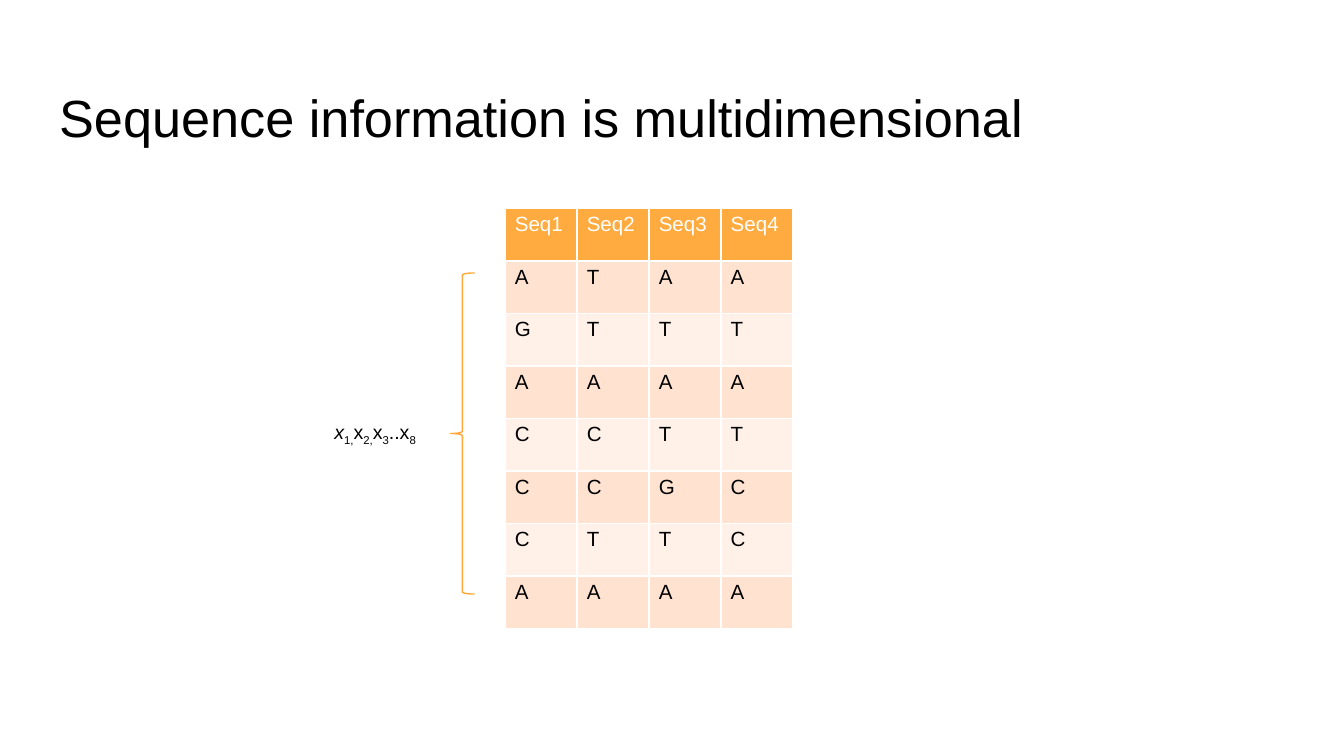
from dataclasses import dataclass

from lxml import etree
from pptx import Presentation
from pptx.dml.color import RGBColor
from pptx.enum.shapes import MSO_SHAPE
from pptx.enum.text import MSO_AUTO_SIZE
from pptx.oxml.ns import qn
from pptx.util import Cm, Pt

LEFT_BRACE = MSO_SHAPE.LEFT_BRACE
NO_FIT = MSO_AUTO_SIZE.NONE
FIT_SHAPE = MSO_AUTO_SIZE.SHAPE_TO_FIT_TEXT


@dataclass(frozen=True)
class Theme:
    font: str = "Arial"
    ink: str = "000000"
    white: str = "FFFFFF"
    header: str = "FFAB40"
    bands: tuple = ("FFE2CF", "FFF1E8")
    brace: str = "FEA83A"
    title_size: float = 28
    cell_size: float = 11
    label_size: float = 10.5


THEME = Theme()


def write(frame, text, *, size, color=THEME.ink, italic=False, baseline=0):
    """Append a formatted run to the first paragraph of a text frame."""
    run = frame.paragraphs[0].add_run()
    run.text = text
    run.font.name = THEME.font
    run.font.size = Pt(size)
    run.font.italic = italic
    run.font.color.rgb = RGBColor.from_string(color)
    if baseline:
        run.font._element.set("baseline", str(baseline * 1000))


def outline_cell(cell, color, width):
    """Draw all four borders of a table cell; borders precede its fill."""
    properties = cell._tc.get_or_add_tcPr()
    for position, side in enumerate(("a:lnL", "a:lnR", "a:lnT", "a:lnB")):
        border = etree.Element(qn(side), w=str(Pt(width)))
        fill = etree.SubElement(border, qn("a:solidFill"))
        etree.SubElement(fill, qn("a:srgbClr"), val=color)
        properties.insert(position, border)


prs = Presentation()
prs.slide_width, prs.slide_height = Cm(25.4), Cm(14.29)
slide = prs.slides.add_slide(prs.slide_layouts[6])

# Title
title = slide.shapes.add_textbox(Cm(0.87), Cm(1.25), Cm(23.67), Cm(1.6)).text_frame
title.word_wrap = True
title.auto_size = NO_FIT
title.margin_left = title.margin_right = title.margin_bottom = Cm(0.25)
title.margin_top = Cm(0.36)
write(title, "Sequence information is multidimensional", size=THEME.title_size)

# Aligned sequences: one column per sequence, one row per position
names = ["Seq1", "Seq2", "Seq3", "Seq4"]
positions = ["ATAA", "GTTT", "AAAA", "CCTT", "CCGC", "CTTC", "AAAA"]
alignment = [names, *positions]
sequences = slide.shapes.add_table(
    len(alignment), len(names), Cm(9.55), Cm(3.94), Cm(5.44), Cm(7.95)
).table
for row, values in enumerate(alignment):
    is_header = row == 0
    fill_color = THEME.header if is_header else THEME.bands[(row - 1) % 2]
    for column, value in enumerate(values):
        cell = sequences.cell(row, column)
        cell.margin_left = cell.margin_right = Cm(0.18)
        cell.margin_top = cell.margin_bottom = Cm(0.09)
        cell.fill.solid()
        cell.fill.fore_color.rgb = RGBColor.from_string(fill_color)
        outline_cell(cell, THEME.white, 1)
        write(cell.text_frame, value, size=THEME.cell_size,
              color=THEME.white if is_header else THEME.ink)

# Brace spanning the positions
brace = slide.shapes.add_shape(LEFT_BRACE, Cm(8.51), Cm(5.16), Cm(0.46), Cm(6.07))
brace.shadow.inherit = False
brace.fill.background()
brace.line.color.rgb = RGBColor.from_string(THEME.brace)
brace.line.width = Pt(0.75)

# Variable label with subscripts
variables = slide.shapes.add_textbox(Cm(6.07), Cm(7.82), Cm(2.16), Cm(0.71)).text_frame
variables.word_wrap = False
variables.auto_size = FIT_SHAPE
terms = [("x", "1,"), ("x", "2,"), ("x", "3"), ("..x", "8")]
for order, (symbol, index) in enumerate(terms):
    write(variables, symbol, size=THEME.label_size, italic=order == 0)
    write(variables, index, size=THEME.label_size, baseline=-25)

prs.save("out.pptx")
